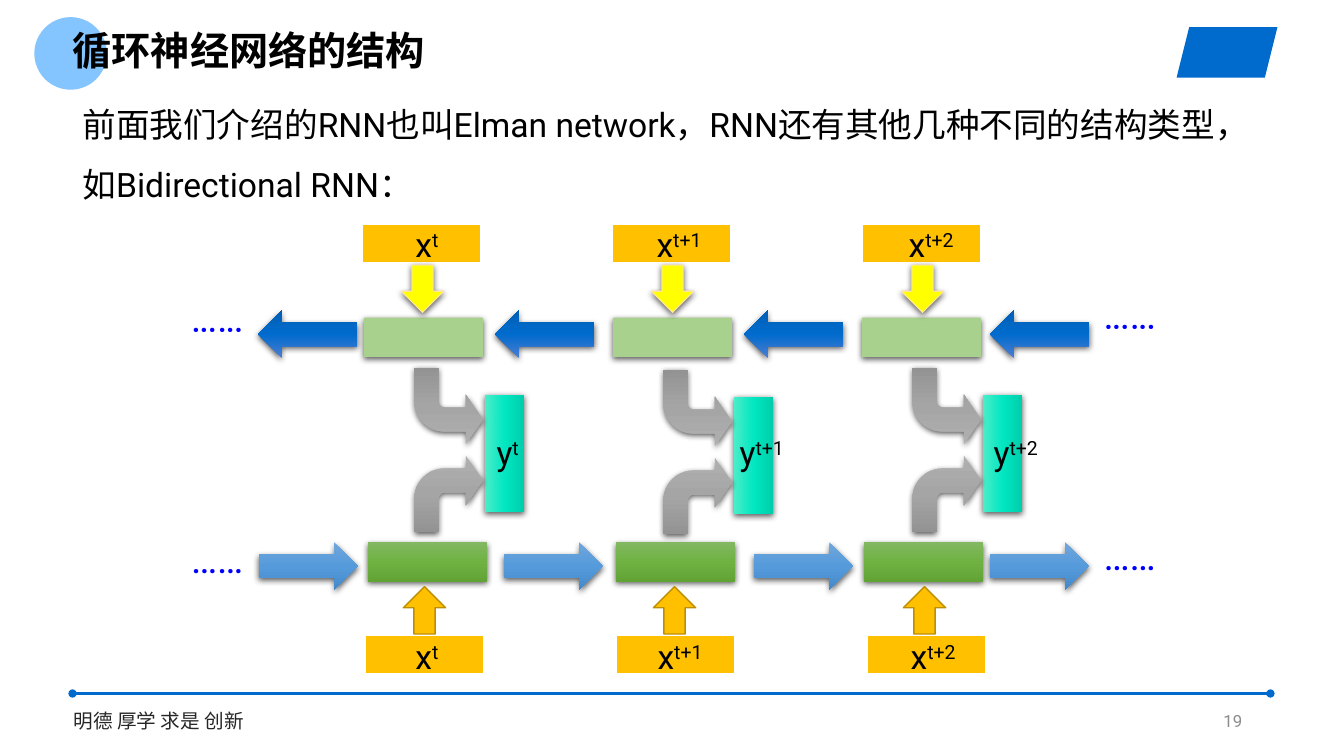
from copy import deepcopy
from lxml.etree import SubElement
from pptx import Presentation
from pptx.dml.color import RGBColor
from pptx.enum.shapes import MSO_CONNECTOR, MSO_SHAPE
from pptx.enum.text import MSO_ANCHOR, PP_ALIGN
from pptx.oxml.ns import qn
from pptx.util import Inches, Pt

TITLE = "循环神经网络的结构"
INTRO = "前面我们介绍的RNN也叫Elman network，RNN还有其他几种不同的结构类型，如Bidirectional RNN："
MOTTO = "明德 厚学 求是 创新"
PAGE_NUMBER = "19"
STEPS = ["t", "t+1", "t+2"]

BLUE = "006BCC"
AMBER = "FFC000"
TEAL_FADE = ["4BEDC9", "00E7C1", "00CDAB"]
GREEN_FADE = ["81B861", "6FB242", "62A336"]
SKY_FADE = ["71A6DB", "559BDB", "448ACA"]
BLUE_FADE = ["4B7DD3", BLUE, "005FB5"]
GREY_FADE = ["AFAFAF", "A5A5A5", "939393"]

CELL = (1.18, 0.39)
FEED = (0.42, 0.47)
FLOW = (0.98, 0.47)
BEND = (0.68, 0.76)
BEND_ADJUSTMENTS = [0.352, 0.363, 0.25, 0.438]
MIDDLE_DROP = 0.02

# kind, first left, column pitch, top, size, fill, line, shadow
COLUMN_ROWS = [
    (MSO_SHAPE.RECTANGLE, 3.62, 2.49, 6.3, CELL, AMBER, ("FFFFFF", 1.5), False),
    (MSO_SHAPE.RECTANGLE, 3.65, 2.46, 5.38, CELL, GREEN_FADE, None, True),
    (MSO_SHAPE.UP_ARROW, 4, 2.48, 5.82, FEED, AMBER, ("BD8E00", 1), False),
    (MSO_SHAPE.RECTANGLE, 3.59, 2.48, 2.22, CELL, AMBER, ("FFFFFF", 1.5), False),
    (MSO_SHAPE.RECTANGLE, 3.61, 2.47, 3.15, CELL, "A9D18E", None, True),
    (MSO_SHAPE.DOWN_ARROW, 3.98, 2.48, 2.63, FEED, "FFFF00", ("FFE699", 0.75), True),
]
FLOW_ROWS = [
    ([2.57, 5, 7.48, 9.82], 5.38, SKY_FADE, 0),
    ([2.56, 4.91, 7.38, 9.82], 3.08, BLUE_FADE, 180),
]
ELLIPSIS_BOXES = [(1.67, 5.25, 0), (10.72, 5.22, 0), (1.67, 3.13, 180), (10.72, 3.1, 180)]
LABEL_ROWS = [("y", 4.54, 2.52, 4.24), ("x", 3.74, 2.51, 6.26), ("x", 3.74, 2.5, 2.17)]

deck = Presentation()
deck.slide_width, deck.slide_height = Inches(13.33), Inches(7.5)
page = deck.slides.add_slide(deck.slide_layouts[5])


def colour(value):
    return RGBColor.from_string(value)


def add_shadow(shape):
    effects = shape._element.spPr.find(qn("a:effectLst"))
    outer = SubElement(effects, qn("a:outerShdw"), blurRad=str(Pt(4.5)), dist=str(Pt(1.5)),
                       dir="5400000", algn="ctr", rotWithShape="0")
    black = SubElement(outer, qn("a:srgbClr"), val="000000")
    SubElement(black, qn("a:alpha"), val="63000")


def paint(shape, fill, angle):
    if isinstance(fill, str):
        shape.fill.solid()
        shape.fill.fore_color.rgb = colour(fill)
        return
    shape.fill.gradient()
    shape.fill.gradient_angle = angle
    stop_list = shape._element.spPr.find(".//" + qn("a:gsLst"))
    stop_list.append(deepcopy(stop_list[0]))
    for index, stop in enumerate(shape.fill.gradient_stops):
        stop.position = index / 2
        stop.color.rgb = colour(fill[index])


def add_block(kind, left, top, size, fill, line=None, shadow=False, angle=270):
    shape = page.shapes.add_shape(kind, Inches(left), Inches(top), *map(Inches, size))
    shape.shadow.inherit = False
    paint(shape, fill, angle)
    if line:
        shape.line.color.rgb = colour(line[0])
        shape.line.width = Pt(line[1])
    else:
        shape.line.fill.background()
    if shadow:
        add_shadow(shape)
    return shape


def style(para, size, tint, align=PP_ALIGN.LEFT, spacing=None, name="Roboto", bold=False):
    para.alignment = align
    if spacing:
        para.line_spacing = spacing
    font = para.font
    font.name, font.size, font.bold = name, Pt(size), bold
    font.color.rgb = colour(tint)
    SubElement(font._element, qn("a:ea"), typeface="Noto Sans CJK SC")


def add_text(text, left, top, width, height, size, tint="000000", raised="", **options):
    box = page.shapes.add_textbox(*map(Inches, (left, top, width, height)))
    box.text_frame.word_wrap = True
    para = box.text_frame.paragraphs[0]
    para.add_run().text = text
    if raised:
        span = para.add_run()
        span.text = raised
        span.font._element.set("baseline", "30000")
    style(para, size, tint, **options)
    return box


add_block(MSO_SHAPE.OVAL, 0.34, 0.17, (0.72, 0.72), "85C5FF")
add_block(MSO_SHAPE.PARALLELOGRAM, 11.67, 0.27, (1, 0.5), BLUE)
add_text(MOTTO, 0.63, 6.98, 2.56, 0.34, 14, "262626")

rule = page.shapes.add_connector(MSO_CONNECTOR.STRAIGHT, Inches(0.72), Inches(6.88),
                                 Inches(12.6), Inches(6.88))
rule.line.color.rgb = colour(BLUE)
rule.line.width = Pt(1.75)
rule_line = rule.line._get_or_add_ln()
for end in ("a:headEnd", "a:tailEnd"):
    SubElement(rule_line, qn(end), type="oval")
SubElement(rule._element.spPr, qn("a:effectLst"))

title = page.shapes.title
title.left, title.top, title.width, title.height = map(Inches, (0.62, 0.29, 9.35, 0.47))
title.text_frame.text = TITLE
title.text_frame.word_wrap = True
title.text_frame.vertical_anchor = MSO_ANCHOR.MIDDLE
style(title.text_frame.paragraphs[0], 28, "000000", spacing=0.9,
      name="Noto Sans CJK SC", bold=True)
page.shapes._spTree.append(title._element)

add_text(INTRO, 0.72, 0.78, 11.88, 1.24, 24, spacing=1.5)

for kind, left, pitch, top, size, fill, line, shadow in COLUMN_ROWS:
    for column in range(len(STEPS)):
        add_block(kind, left + column * pitch, top, size, fill, line, shadow)

for lefts, top, fill, turn in FLOW_ROWS:
    for left in lefts:
        add_block(MSO_SHAPE.RIGHT_ARROW, left, top, FLOW, fill, shadow=True).rotation = turn

for left, top, turn in ELLIPSIS_BOXES:
    add_text("……", left, top, 0.97, 0.57, 28, "0000FF", align=PP_ALIGN.CENTER).rotation = turn

for column in range(len(STEPS)):
    shift = column * 2.47
    drop = MIDDLE_DROP if column == 1 else 0
    add_block(MSO_SHAPE.RECTANGLE, 4.81 + shift, 3.92 + drop, (0.39, 1.16), TEAL_FADE,
              shadow=True, angle=0)
    for top, flipped in ((4.52, False), (3.65, True)):
        bend = add_block(MSO_SHAPE.BENT_ARROW, 4.11 + shift, top + drop, BEND, GREY_FADE,
                         shadow=True)
        for index, amount in enumerate(BEND_ADJUSTMENTS):
            bend.adjustments[index] = amount
        if flipped:
            bend._element.spPr.xfrm.set("flipV", "1")

for letter, left, pitch, top in LABEL_ROWS:
    for column, step in enumerate(STEPS):
        add_text(letter, left + column * pitch, top, 0.99, 0.5, 24, raised=step,
                 align=PP_ALIGN.CENTER)

number = add_text(PAGE_NUMBER, 9.42, 6.95, 3, 0.4, 12, "8C8C8C", align=PP_ALIGN.RIGHT)
number.text_frame.vertical_anchor = MSO_ANCHOR.MIDDLE

deck.save("out.pptx")
